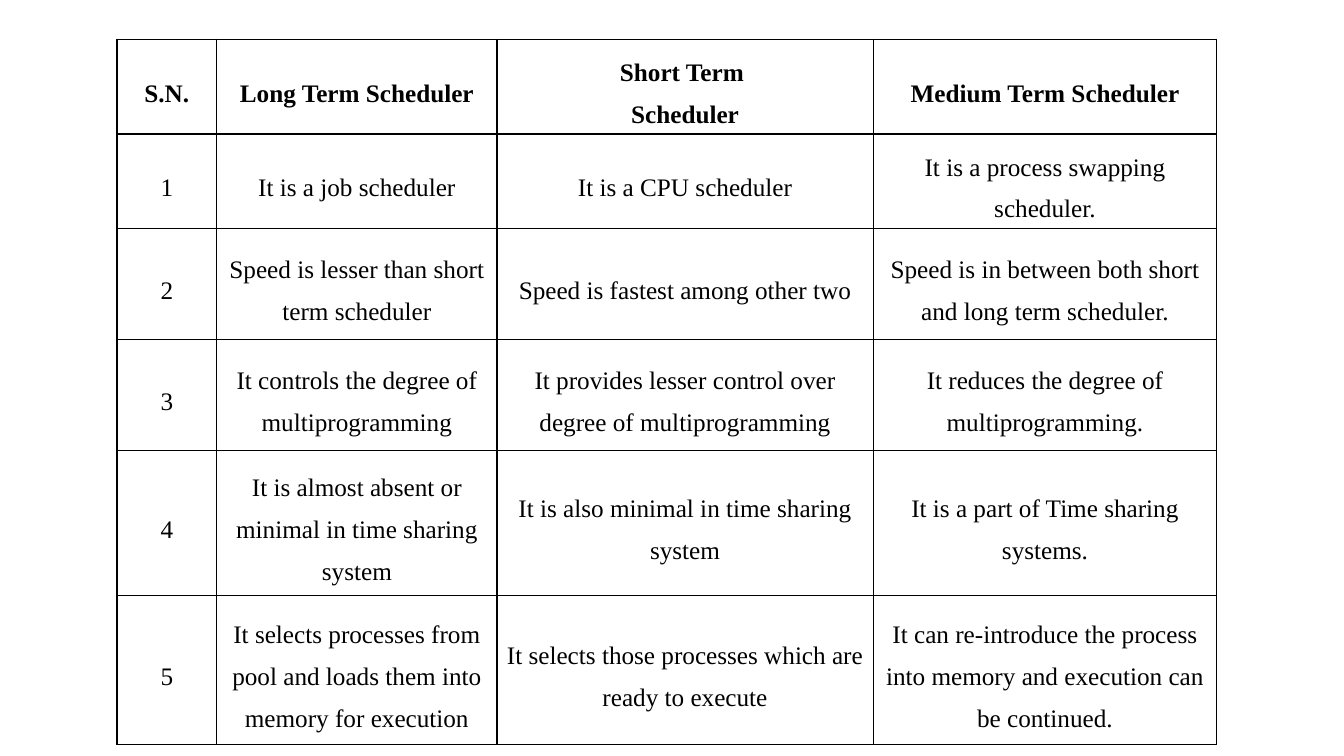
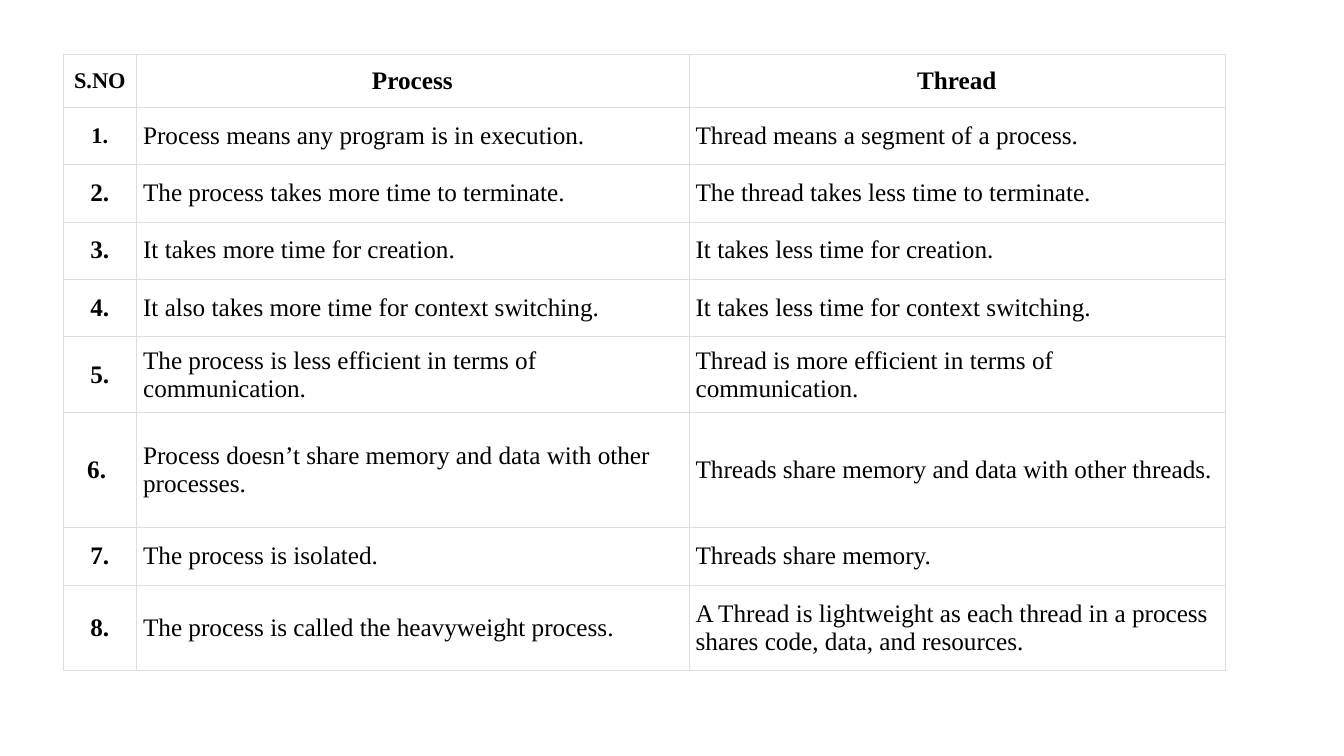
"""Build two comparison tables: schedulers, and process versus thread."""
import dataclasses

import lxml.etree
import pptx
import pptx.dml.color
import pptx.enum.text
import pptx.oxml.ns
import pptx.presentation
import pptx.table
import pptx.util

Inches = pptx.util.Inches
Align = pptx.enum.text.PP_ALIGN

COLORS = {"text": "000000", "background": "FFFFFF", "grid": "000000", "light_grid": "DFDFDF"}
FONT = "Times New Roman"
BLANK_LAYOUT = 6
BORDER_TAGS = ("a:lnL", "a:lnR", "a:lnT", "a:lnB")


@dataclasses.dataclass(frozen=True)
class CellStyle:
    margin_x: float
    margin_y: float
    bold: bool = False
    alignment: Align = Align.CENTER
    line_spacing: float = 1.0
    size: int = 18


@dataclasses.dataclass(frozen=True)
class TableDesign:
    left: float
    top: float
    columns: list[float]
    rows: list[float]
    border_color: str
    border_points: float
    corner: CellStyle
    header: CellStyle
    number: CellStyle
    body: CellStyle
    texts: list[list[str]]
    small_cells: tuple[tuple[int, int], ...] = ()

    def style_at(self, row: int, column: int) -> CellStyle:
        if row == 0:
            style = self.header if column else self.corner
        else:
            style = self.body if column else self.number
        if (row, column) in self.small_cells:
            return dataclasses.replace(style, size=16)
        return style


SCHEDULER_BODY = CellStyle(0.07, 0, line_spacing=1.5)
SCHEDULER_HEADER = dataclasses.replace(SCHEDULER_BODY, bold=True)

SCHEDULERS = TableDesign(
    left=1.16,
    top=0.39,
    columns=[0.99, 2.78, 3.73, 3.41],
    rows=[0.94, 0.94, 1.1, 1.1, 1.44, 1.48],
    border_color="grid",
    border_points=1,
    corner=SCHEDULER_HEADER,
    header=SCHEDULER_HEADER,
    number=SCHEDULER_BODY,
    body=SCHEDULER_BODY,
    texts=[
        ["S.N.", "Long Term Scheduler", "Short Term \nScheduler", "Medium Term Scheduler"],
        ["1", "It is a job scheduler", "It is a CPU scheduler",
         "It is a process swapping scheduler."],
        ["2", "Speed is lesser than short term scheduler", "Speed is fastest among other two",
         "Speed is in between both short and long term scheduler."],
        ["3", "It controls the degree of multiprogramming",
         "It provides lesser control over degree of multiprogramming",
         "It reduces the degree of multiprogramming."],
        ["4", "It is almost absent or minimal in time sharing system",
         "It is also minimal in time sharing system", "It is a part of Time sharing systems."],
        ["5", "It selects processes from pool and loads them into memory for execution",
         "It selects those processes which are ready to execute",
         "It can re-introduce the process into memory and execution can be continued."],
    ],
)

PROCESS_AND_THREAD = TableDesign(
    left=0.63,
    top=0.54,
    columns=[0.72, 5.48, 5.32],
    rows=[0.52] + [0.57] * 5 + [1.14, 0.57, 0.85],
    border_color="light_grid",
    border_points=0.15,
    corner=CellStyle(0.04, 0.07, bold=True),
    header=CellStyle(0.07, 0.07, bold=True),
    number=CellStyle(0.04, 0.06, bold=True),
    body=CellStyle(0.07, 0.1, alignment=Align.LEFT),
    small_cells=((0, 0), (1, 0)),
    texts=[
        ["S.NO", "Process", "Thread"],
        ["1.", "Process means any program is in execution.", "Thread means a segment of a process."],
        ["2.", "The process takes more time to terminate.",
         "The thread takes less time to terminate."],
        ["3.", "It takes more time for creation.", "It takes less time for creation."],
        ["4.", "It also takes more time for context switching.",
         "It takes less time for context switching."],
        ["5.", "The process is less efficient in terms of communication.",
         "Thread is more efficient in terms of communication."],
        ["6. ", "Process doesn’t share memory and data with other processes.",
         "Threads share memory and data with other threads."],
        ["7.", "The process is isolated.", "Threads share memory."],
        ["8.", "The process is called the heavyweight process.",
         "A Thread is lightweight as each thread in a process shares code, data, and resources."],
    ],
)


def rgb(name: str) -> pptx.dml.color.RGBColor:
    return pptx.dml.color.RGBColor.from_string(COLORS[name])


def draw_borders(cell: pptx.table._Cell, color: str, points: float) -> None:
    qn = pptx.oxml.ns.qn
    properties = cell._tc.get_or_add_tcPr()
    for tag in BORDER_TAGS:
        line = lxml.etree.SubElement(properties, qn(tag), w=str(int(pptx.util.Pt(points))))
        fill = lxml.etree.SubElement(line, qn("a:solidFill"))
        lxml.etree.SubElement(fill, qn("a:srgbClr"), val=COLORS[color])


def write_cell(cell: pptx.table._Cell, text: str, style: CellStyle) -> None:
    cell.margin_left = cell.margin_right = Inches(style.margin_x)
    cell.margin_top = cell.margin_bottom = Inches(style.margin_y)
    cell.vertical_anchor = pptx.enum.text.MSO_ANCHOR.MIDDLE
    cell.fill.solid()
    cell.fill.fore_color.rgb = rgb("background")
    cell.text_frame.text = text
    for paragraph in cell.text_frame.paragraphs:
        paragraph.alignment = style.alignment
        paragraph.line_spacing = style.line_spacing
        for run in paragraph.runs:
            run.font.name = FONT
            run.font.size = pptx.util.Pt(style.size)
            run.font.bold = style.bold
            run.font.color.rgb = rgb("text")


def add_table_slide(presentation: pptx.presentation.Presentation, design: TableDesign) -> None:
    slide = presentation.slides.add_slide(presentation.slide_layouts[BLANK_LAYOUT])
    shape = slide.shapes.add_table(
        len(design.rows), len(design.columns), Inches(design.left), Inches(design.top),
        Inches(sum(design.columns)), Inches(sum(design.rows)),
    )
    table = shape.table
    table.first_row = table.horz_banding = False
    for column, width in zip(table.columns, design.columns):
        column.width = Inches(width)
    for row, height in zip(table.rows, design.rows):
        row.height = Inches(height)
    for row_index, row_texts in enumerate(design.texts):
        for column_index, text in enumerate(row_texts):
            cell = table.cell(row_index, column_index)
            draw_borders(cell, design.border_color, design.border_points)
            write_cell(cell, text, design.style_at(row_index, column_index))


def main() -> None:
    presentation = pptx.Presentation()
    presentation.slide_width = Inches(13.33)
    presentation.slide_height = Inches(7.5)
    for design in (SCHEDULERS, PROCESS_AND_THREAD):
        add_table_slide(presentation, design)
    presentation.save("out.pptx")


if __name__ == "__main__":
    main()
